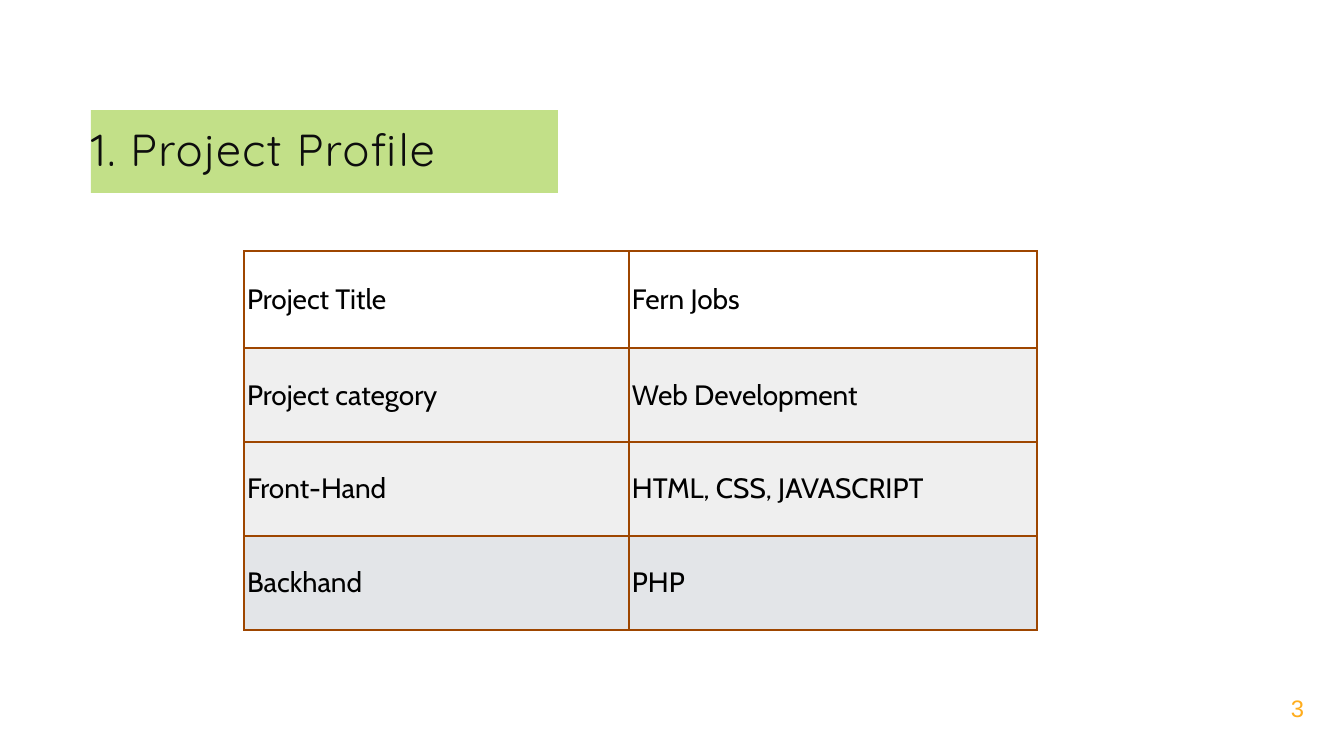
from dataclasses import dataclass

from lxml import etree
from pptx import Presentation
from pptx import util as u
from pptx.dml.color import RGBColor
from pptx.enum import shapes, text
from pptx.oxml import ns

# Content
TITLE = "1. Project Profile"
PAGE_NUMBER = "3"
PROFILE = [
    ("Project Title", "Fern Jobs"),
    ("Project category", "Web Development"),
    ("Front-Hand", "HTML, CSS, JAVASCRIPT"),
    ("Backhand", "PHP"),
]

# Layout in px: left, top, width, height
PAGE_SIZE = (1344, 756)
TITLE_BOX = (91, 110, 467, 83)
NUMBER_BOX = (1291, 693, 14, 29)
TABLE_ORIGIN = (244, 251)
COLUMN_WIDTHS = (385, 408)
ROW_HEIGHTS = (97, 94, 94, 94)
CELL_MARGIN = 3


@dataclass(frozen=True)
class Theme:
    title_fill: str = "C2E088"
    title_ink: str = "0D0D0D"
    number_ink: str = "FFAD1D"
    cell_ink: str = "000000"
    border: str = "9E4600"
    row_fills: tuple = ("FFFFFF", "EFEFEF", "EFEFEF", "E3E5E8")
    title_font: str = "Quicksand"
    number_font: str = "Arial"
    cell_font: str = "Cabin"
    title_size: int = 64
    number_size: int = 34
    cell_size: int = 40
    title_spacing: int = 200  # hundredths of a point
    outer_line: int = 2
    inner_line: int = 4


THEME = Theme()


def px(length):
    return u.Emu(round(length * 914400 / 50.4))


def paint(fill, color):
    fill.solid()
    fill.fore_color.rgb = RGBColor.from_string(color)


def write(frame, words, font, size, color):
    frame.text = words
    para = frame.paragraphs[0]
    para.alignment = text.PP_ALIGN.LEFT
    span = para.runs[0]
    span.font.name = font
    span.font.size = u.Pt(size)
    span.font.color.rgb = RGBColor.from_string(color)
    return para


def set_margins(area, margin):
    area.margin_left = area.margin_right = margin
    area.margin_top = area.margin_bottom = margin
    area.vertical_anchor = text.MSO_ANCHOR.MIDDLE


def add_border(cell, side, width):
    line = etree.SubElement(cell._tc.get_or_add_tcPr(), ns.qn(f"a:ln{side}"),
                            w=str(u.Pt(width)))
    fill = etree.SubElement(line, ns.qn("a:solidFill"))
    etree.SubElement(fill, ns.qn("a:srgbClr"), val=THEME.border)


def add_title(page):
    box = page.shapes.add_shape(shapes.MSO_SHAPE.RECTANGLE, *map(px, TITLE_BOX))
    box.shadow.inherit = False
    paint(box.fill, THEME.title_fill)
    box.line.fill.background()
    set_margins(box.text_frame, 0)
    para = write(box.text_frame, TITLE, THEME.title_font, THEME.title_size, THEME.title_ink)
    para.line_spacing = 0.9
    para.runs[0].font._element.set("spc", str(THEME.title_spacing))


def add_profile_table(page):
    size = sum(COLUMN_WIDTHS), sum(ROW_HEIGHTS)
    table = page.shapes.add_table(len(PROFILE), len(COLUMN_WIDTHS),
                                  *map(px, TABLE_ORIGIN + size)).table
    table.first_row = table.horz_banding = False
    for column, width in zip(table.columns, COLUMN_WIDTHS):
        column.width = px(width)
    for row, height in zip(table.rows, ROW_HEIGHTS):
        row.height = px(height)

    for r, entries in enumerate(PROFILE):
        for c, words in enumerate(entries):
            cell = table.cell(r, c)
            set_margins(cell, px(CELL_MARGIN))
            # Left, top and right outer edges are thin, all other lines thick
            thin = {"L": c == 0, "R": c == len(entries) - 1, "T": r == 0, "B": False}
            for side, is_thin in thin.items():
                add_border(cell, side, THEME.outer_line if is_thin else THEME.inner_line)
            paint(cell.fill, THEME.row_fills[r])
            write(cell.text_frame, words, THEME.cell_font, THEME.cell_size, THEME.cell_ink)


def add_page_number(page):
    box = page.shapes.add_textbox(*map(px, NUMBER_BOX))
    set_margins(box.text_frame, 0)
    write(box.text_frame, PAGE_NUMBER, THEME.number_font, THEME.number_size, THEME.number_ink)


def main():
    deck = Presentation()
    deck.slide_width, deck.slide_height = map(px, PAGE_SIZE)
    page = deck.slides.add_slide(deck.slide_layouts[6])
    add_title(page)
    add_page_number(page)
    add_profile_table(page)
    deck.save("out.pptx")


if __name__ == "__main__":
    main()
